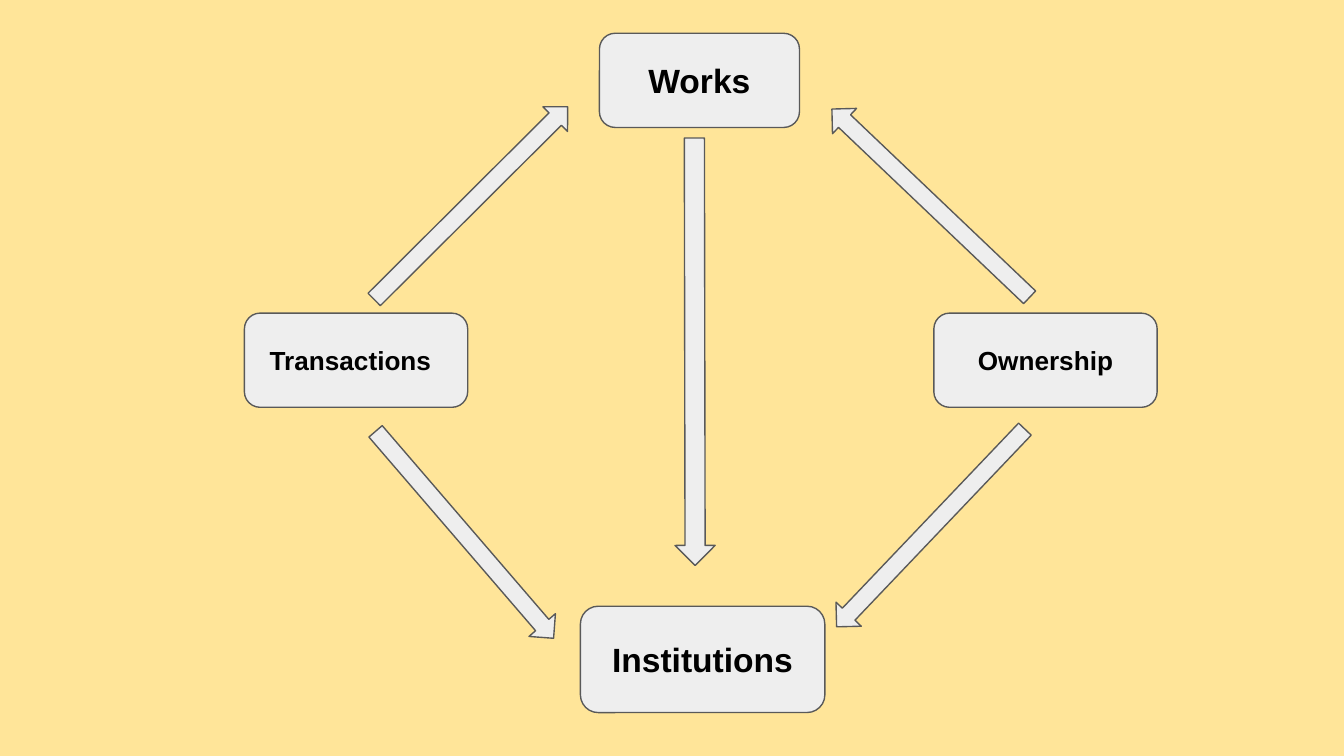
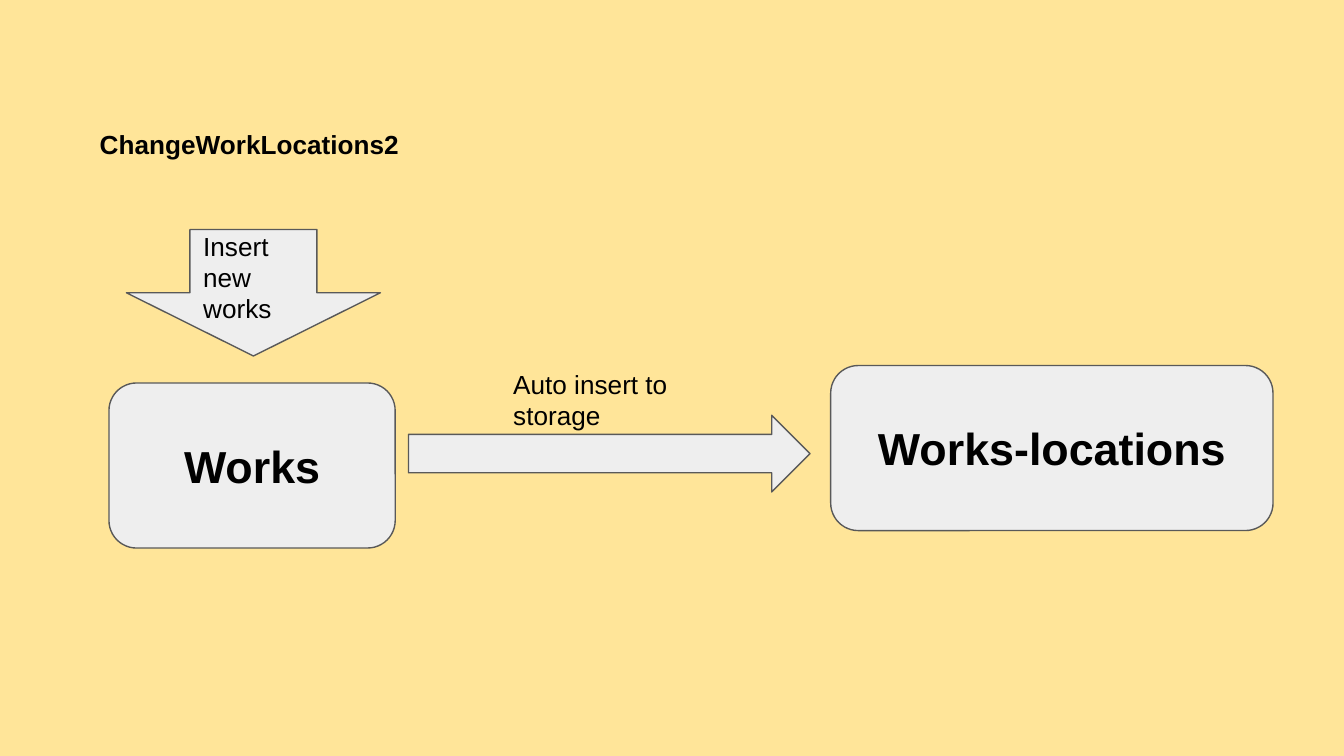
"""Build two slides that show how the tables of a works database relate."""
from pptx import Presentation
from pptx.dml.color import RGBColor
from pptx.enum.shapes import MSO_SHAPE as Preset
from pptx.enum.text import MSO_ANCHOR as Anchor, MSO_AUTO_SIZE as AutoSize, PP_ALIGN as Align
from pptx.util import Cm, Pt

BACKGROUND = "FFE599"
FILL = "EEEEEE"
OUTLINE = "595959"
INK = "000000"
FONT = "Arial"
INSET = 0.25
TITLE_ONLY, BLANK = 5, 6


def color(hex_code):
    """Turn a hex string into a colour."""
    return RGBColor.from_string(hex_code)


def lengths(*values):
    """Turn numbers in centimetres into lengths."""
    return [Cm(value) for value in values]


def write(box, text, size, bold=False, align=Align.LEFT, anchor=Anchor.MIDDLE, indent=0):
    """Put one paragraph of text into a shape."""
    frame = box.text_frame
    frame.word_wrap = True
    frame.auto_size = AutoSize.NONE
    frame.vertical_anchor = anchor
    frame.margin_left = Cm(INSET + indent)
    frame.margin_right = frame.margin_top = frame.margin_bottom = Cm(INSET)
    para = frame.paragraphs[0]
    para.text = text
    para.alignment = align
    para.font.name = FONT
    para.font.size = Pt(size)
    para.font.bold = bold
    para.font.color.rgb = color(INK)


def add_outlined(page, preset, place, angle=0):
    """Add a grey preset shape with a thin outline."""
    shape = page.shapes.add_shape(preset, *lengths(*place))
    shape.shadow.inherit = False
    shape.fill.solid()
    shape.fill.fore_color.rgb = color(FILL)
    shape.line.color.rgb = color(OUTLINE)
    shape.line.width = Pt(0.75)
    shape.rotation = angle
    return shape


def add_entity(page, name, place, size, align=Align.CENTER, indent=0):
    """Add a rounded box with a bold name."""
    box = add_outlined(page, Preset.ROUNDED_RECTANGLE, place)
    write(box, name, size, bold=True, align=align, indent=indent)


def add_label(page, text, place):
    """Add a plain text label."""
    label = page.shapes.add_textbox(*lengths(*place))
    write(label, text, 14, anchor=Anchor.TOP)


def set_title(page, text, place):
    """Move and format the title placeholder."""
    title = page.shapes.title
    title.left, title.top, title.width, title.height = lengths(*place)
    write(title, text, 14, bold=True, align=Align.CENTER, anchor=Anchor.TOP)


def build_relations(deck):
    """Draw the four entities and the arrows between them."""
    page = deck.slides.add_slide(deck.slide_layouts[BLANK])
    add_entity(page, "Works", (11.33, 0.63, 3.78, 1.78), 18)
    add_entity(page, "Institutions", (10.97, 11.46, 4.62, 2.01), 18)
    add_entity(page, "Ownership", (17.65, 5.92, 4.22, 1.78), 14)
    add_entity(page, "Transactions", (4.62, 5.92, 4.22, 1.78), 14, Align.LEFT, indent=0.14)
    add_outlined(page, Preset.RIGHT_ARROW, (9.09, 6.27, 8.08, 0.76), 89.9)
    diagonals = [
        (6.32, 3.51, 315.1),
        (15.01, 3.51, 223.6),
        (15.01, 9.65, 133.6),
        (6.2, 9.78, 49.3),
    ]
    for left, top, angle in diagonals:
        add_outlined(page, Preset.RIGHT_ARROW, (left, top, 5.16, 0.66), angle)


def build_trigger(deck):
    """Draw how new works reach the locations table."""
    page = deck.slides.add_slide(deck.slide_layouts[TITLE_ONLY])
    set_title(page, "ChangeWorkLocations2", (1.35, 2.18, 6.73, 1.5))
    add_entity(page, "Works", (2.06, 7.24, 5.41, 3.12), 24)
    add_entity(page, "Works-locations", (15.7, 6.91, 8.36, 3.12), 24)
    add_outlined(page, Preset.RIGHT_ARROW, (7.72, 7.85, 7.59, 1.45))
    add_label(page, "Auto insert to storage", (9.45, 6.71, 3.56, 1.35))
    insertion = add_outlined(page, Preset.DOWN_ARROW, (2.39, 4.34, 4.8, 2.39))
    write(insertion, "Insert new works", 14)


def main():
    """Build and save the deck."""
    deck = Presentation()
    deck.slide_width, deck.slide_height = lengths(25.4, 14.29)
    backdrop = deck.slide_master.background.fill
    backdrop.solid()
    backdrop.fore_color.rgb = color(BACKGROUND)
    build_relations(deck)
    build_trigger(deck)
    deck.save("out.pptx")


if __name__ == "__main__":
    main()
